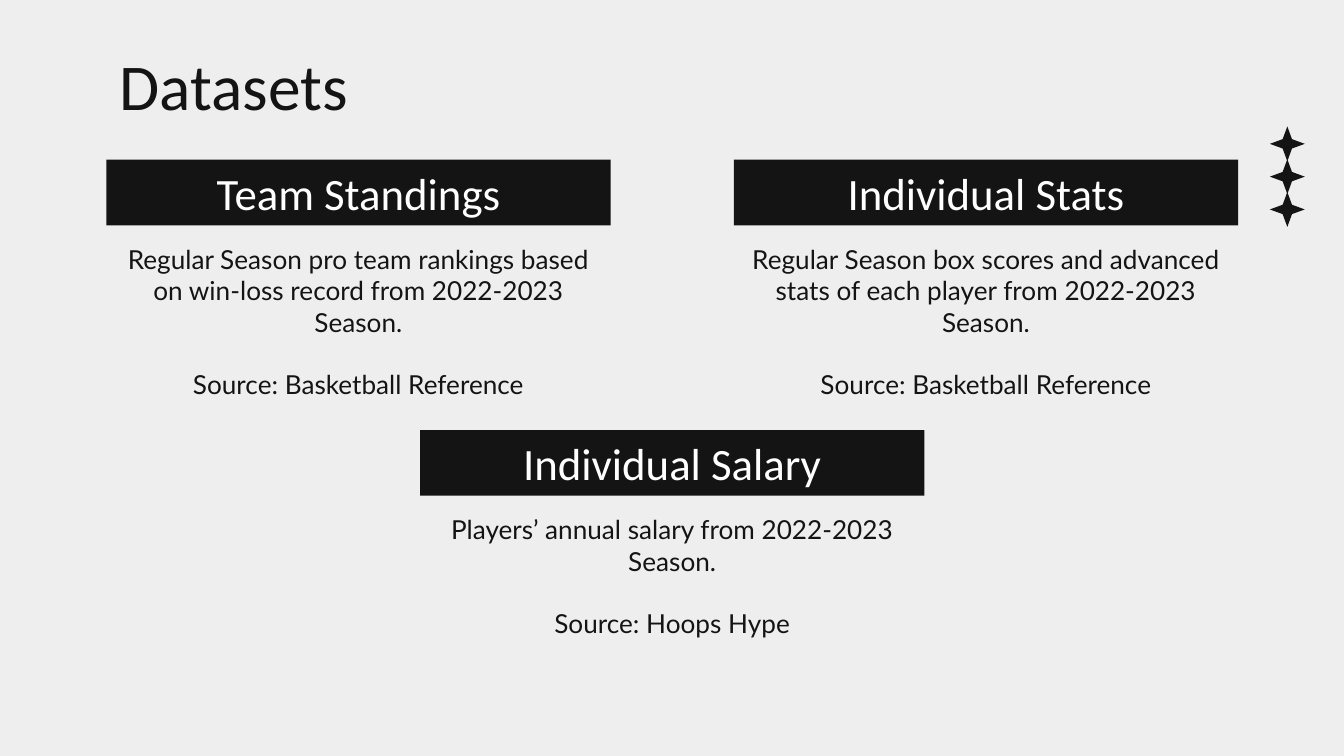
"""Build the Datasets slide with three titled cards and a column of stars."""
from dataclasses import dataclass

import pptx
import pptx.dml.color
import pptx.enum.shapes
import pptx.enum.text
import pptx.shapes.autoshape
import pptx.slide
import pptx.text.text
import pptx.util
from pptx.util import Cm

INK = pptx.dml.color.RGBColor(0x14, 0x14, 0x14)
WHITE = pptx.dml.color.RGBColor(0xFF, 0xFF, 0xFF)
PAPER = pptx.dml.color.RGBColor(0xEE, 0xEE, 0xEE)

LEFT = 2.01
COLUMN_STEP = 5.93
CARD_WIDTH = 9.53
HEADER_HEIGHT = 1.24
BODY_OFFSET = 1.33
BODY_HEIGHT = 2.84
STAR_SIZE = 0.66
STAR_STEP = 0.62


@dataclass(frozen=True)
class Dataset:
    """A dataset card, placed by column number and top in centimetres."""

    name: str
    description: str
    source: str
    column: int
    top: float


DATASETS = [
    Dataset(
        "Team Standings",
        "Regular Season pro team rankings based on win-loss record from 2022-2023 Season.",
        "Source: Basketball Reference", 0, 3.02,
    ),
    Dataset(
        "Individual Stats",
        "Regular Season box scores and advanced stats of each player from 2022-2023 Season.",
        "Source: Basketball Reference", 2, 3.02,
    ),
    Dataset(
        "Individual Salary",
        "Players’ annual salary from 2022-2023 Season.",
        "Source: Hoops Hype", 1, 8.13,
    ),
]


def prepare_frame(
    frame: pptx.text.text.TextFrame, anchor: pptx.enum.text.MSO_ANCHOR
) -> None:
    """Set wrapping, equal insets and vertical anchor."""
    frame.word_wrap = True
    frame.auto_size = pptx.enum.text.MSO_AUTO_SIZE.NONE
    frame.vertical_anchor = anchor
    frame.margin_left = frame.margin_right = Cm(0.25)
    frame.margin_top = frame.margin_bottom = Cm(0.25)


def write_paragraph(
    paragraph: pptx.text.text._Paragraph,
    text: str,
    font: str,
    size: int,
    color: pptx.dml.color.RGBColor,
    align: pptx.enum.text.PP_ALIGN = pptx.enum.text.PP_ALIGN.CENTER,
) -> None:
    """Fill a paragraph with uniformly formatted text."""
    paragraph.text = text
    paragraph.alignment = align
    paragraph.font.name = font
    paragraph.font.size = pptx.util.Pt(size)
    paragraph.font.color.rgb = color


def add_ink_shape(
    page: pptx.slide.Slide,
    kind: pptx.enum.shapes.MSO_SHAPE,
    left: float,
    top: float,
    width: float,
    height: float,
) -> pptx.shapes.autoshape.Shape:
    """Add a dark shape without outline or shadow."""
    shape = page.shapes.add_shape(kind, Cm(left), Cm(top), Cm(width), Cm(height))
    shape.shadow.inherit = False
    shape.fill.solid()
    shape.fill.fore_color.rgb = INK
    shape.line.fill.background()
    return shape


def add_title(page: pptx.slide.Slide, text: str) -> None:
    """Place and format the title placeholder."""
    title = page.shapes.title
    title.left, title.top = Cm(LEFT), Cm(0.61)
    title.width, title.height = Cm(21.41), Cm(1.6)
    prepare_frame(title.text_frame, pptx.enum.text.MSO_ANCHOR.TOP)
    write_paragraph(
        title.text_frame.paragraphs[0], text, "Calibri", 35, INK,
        pptx.enum.text.PP_ALIGN.LEFT,
    )


def add_dataset(page: pptx.slide.Slide, dataset: Dataset) -> None:
    """Draw a header bar with the description and source below it."""
    left = LEFT + dataset.column * COLUMN_STEP
    header = add_ink_shape(
        page, pptx.enum.shapes.MSO_SHAPE.RECTANGLE,
        left, dataset.top, CARD_WIDTH, HEADER_HEIGHT,
    )
    prepare_frame(header.text_frame, pptx.enum.text.MSO_ANCHOR.MIDDLE)
    write_paragraph(
        header.text_frame.paragraphs[0], dataset.name, "Calibri", 24, WHITE
    )

    body = page.shapes.add_textbox(
        Cm(left), Cm(dataset.top + BODY_OFFSET), Cm(CARD_WIDTH), Cm(BODY_HEIGHT)
    )
    prepare_frame(body.text_frame, pptx.enum.text.MSO_ANCHOR.TOP)
    write_paragraph(
        body.text_frame.paragraphs[0], dataset.description, "Lato", 14, INK
    )
    source = body.text_frame.add_paragraph()
    write_paragraph(source, dataset.source, "Lato", 14, INK)
    source.space_before = pptx.util.Pt(16.8)


def add_stars(page: pptx.slide.Slide, count: int) -> None:
    """Stack four-pointed stars at the right edge."""
    for index in range(count):
        star = add_ink_shape(
            page, pptx.enum.shapes.MSO_SHAPE.STAR_4_POINT,
            24, 2.39 + index * STAR_STEP, STAR_SIZE, STAR_SIZE,
        )
        star.adjustments[0] = 0.19


def main() -> None:
    """Create the deck and save it."""
    deck = pptx.Presentation()
    deck.slide_width, deck.slide_height = Cm(25.4), Cm(14.29)
    page = deck.slides.add_slide(deck.slide_layouts.get_by_name("Title Only"))
    page.background.fill.solid()
    page.background.fill.fore_color.rgb = PAPER
    add_stars(page, 3)
    add_title(page, "Datasets")
    for dataset in DATASETS:
        add_dataset(page, dataset)
    deck.save("out.pptx")


if __name__ == "__main__":
    main()
